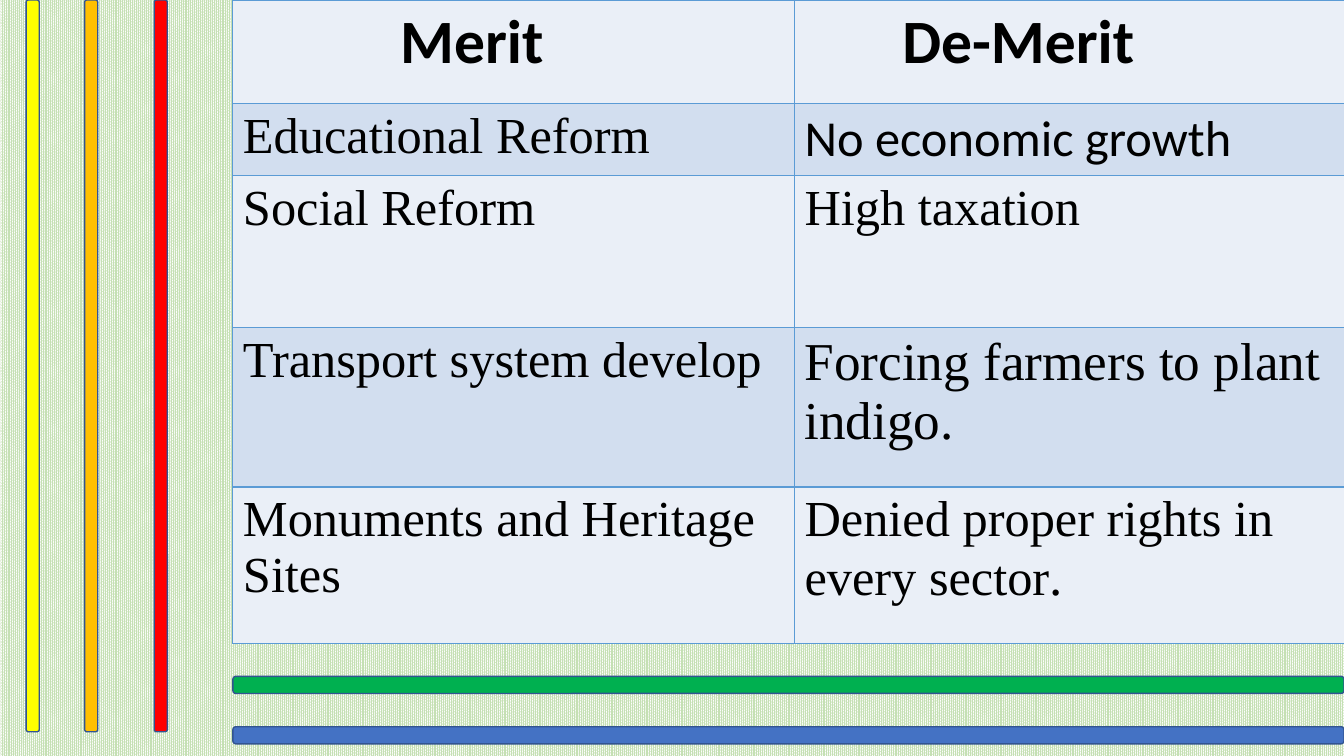
from lxml import etree
from pptx import Presentation
from pptx.dml.color import RGBColor
from pptx.enum import dml, shapes
from pptx.oxml import ns
from pptx.util import Inches, Pt

BLACK = RGBColor(0x00, 0x00, 0x00)
WHITE = RGBColor(0xFF, 0xFF, 0xFF)
PALE_GREEN = RGBColor(0xC5, 0xE0, 0xB4)
LIGHT_BAND = RGBColor(0xEA, 0xEF, 0xF7)
DARK_BAND = RGBColor(0xD2, 0xDE, 0xEF)
GRID_BLUE = RGBColor(0x5B, 0x9B, 0xD5)
OUTLINE = RGBColor(0x32, 0x54, 0x91)
YELLOW = RGBColor(0xFF, 0xFF, 0x00)
ORANGE = RGBColor(0xFF, 0xC0, 0x00)
RED = RGBColor(0xFF, 0x00, 0x00)
GREEN = RGBColor(0x00, 0xB0, 0x50)
BLUE = RGBColor(0x44, 0x72, 0xC4)

SERIF, SANS = "Times New Roman", "Calibri"
SLIDE_WIDTH, SLIDE_HEIGHT = 13.33, 7.5
CONTENT_LEFT, CONTENT_WIDTH = 2.31, 11.02

COLUMN_WIDTHS = [5.57, 5.46]
ROW_HEIGHTS = [1.03, 0.63, 1.51, 1.58, 1.55]
HEADER_INDENTS = [1.66, 1.07]
# Each cell is a list of runs: text, font, size
ROWS = [
    [[("Merit", SANS, 44)], [("De-Merit", SANS, 44)]],
    [[("Educational Reform", SERIF, 36)], [("No economic growth", SANS, 36)]],
    [[("Social Reform", SERIF, 36)], [("High taxation", SERIF, 36)]],
    [[("Transport system develop", SERIF, 36)],
     [("Forcing farmers to plant indigo.", SERIF, 38)]],
    [[("Monuments and Heritage Sites", SERIF, 36)],
     [("Denied proper rights in every sector", SERIF, 36), (".", SERIF, 38)]],
]


def set_background(slide):
    fill = slide.background.fill
    fill.patterned()
    fill.pattern = dml.MSO_PATTERN.PERCENT_90
    fill.fore_color.rgb = PALE_GREEN
    fill.back_color.rgb = WHITE


def add_borders(cell, color, width):
    properties = cell._tc.get_or_add_tcPr()
    for side in ("a:lnL", "a:lnR", "a:lnT", "a:lnB"):
        line = etree.SubElement(properties, ns.qn(side), w=str(Pt(width)))
        fill = etree.SubElement(line, ns.qn("a:solidFill"))
        etree.SubElement(fill, ns.qn("a:srgbClr"), val=str(color))


def fill_cell(cell, runs, color, bold):
    add_borders(cell, GRID_BLUE, 1)
    cell.fill.solid()
    cell.fill.fore_color.rgb = color
    paragraph = cell.text_frame.paragraphs[0]
    for words, font_name, size in runs:
        run = paragraph.add_run()
        run.text = words
        run.font.name = font_name
        run.font.size = Pt(size)
        run.font.bold = bold
        run.font.color.rgb = BLACK


def add_merit_table(slide, left, top, width):
    frame = slide.shapes.add_table(
        len(ROWS), len(COLUMN_WIDTHS), Inches(left), Inches(top),
        Inches(width), Inches(sum(ROW_HEIGHTS)))
    table = frame.table
    table.first_row = False
    table.horz_banding = False
    for column, column_width in zip(table.columns, COLUMN_WIDTHS):
        column.width = Inches(column_width)
    for row_index, row_runs in enumerate(ROWS):
        table.rows[row_index].height = Inches(ROW_HEIGHTS[row_index])
        band = DARK_BAND if row_index % 2 else LIGHT_BAND
        for column_index, runs in enumerate(row_runs):
            fill_cell(table.cell(row_index, column_index), runs, band,
                      bold=row_index == 0)
    # Header words are set in from the left edge of their cells
    for column_index, indent in enumerate(HEADER_INDENTS):
        table.cell(0, column_index).margin_left = Inches(indent)


def add_bar(slide, left, top, width, height, color):
    bar = slide.shapes.add_shape(
        shapes.MSO_SHAPE.ROUNDED_RECTANGLE,
        Inches(left), Inches(top), Inches(width), Inches(height))
    bar.shadow.inherit = False
    bar.fill.solid()
    bar.fill.fore_color.rgb = color
    bar.line.color.rgb = OUTLINE
    bar.line.width = Pt(1)


def add_side_bars(slide, top, height):
    for left, color in ((0.26, YELLOW), (0.84, ORANGE), (1.53, RED)):
        add_bar(slide, left, top, 0.13, height, color)


def add_bottom_bars(slide, left, top, width):
    for index, color in enumerate((GREEN, BLUE)):
        add_bar(slide, left, top + index * 0.5, width, 0.17, color)


def main():
    presentation = Presentation()
    presentation.slide_width = Inches(SLIDE_WIDTH)
    presentation.slide_height = Inches(SLIDE_HEIGHT)
    slide = presentation.slides.add_slide(presentation.slide_layouts[6])
    set_background(slide)
    add_merit_table(slide, CONTENT_LEFT, 0, CONTENT_WIDTH)
    add_side_bars(slide, 0, 7.26)
    add_bottom_bars(slide, CONTENT_LEFT, 6.71, CONTENT_WIDTH)
    presentation.save("out.pptx")


if __name__ == "__main__":
    main()
